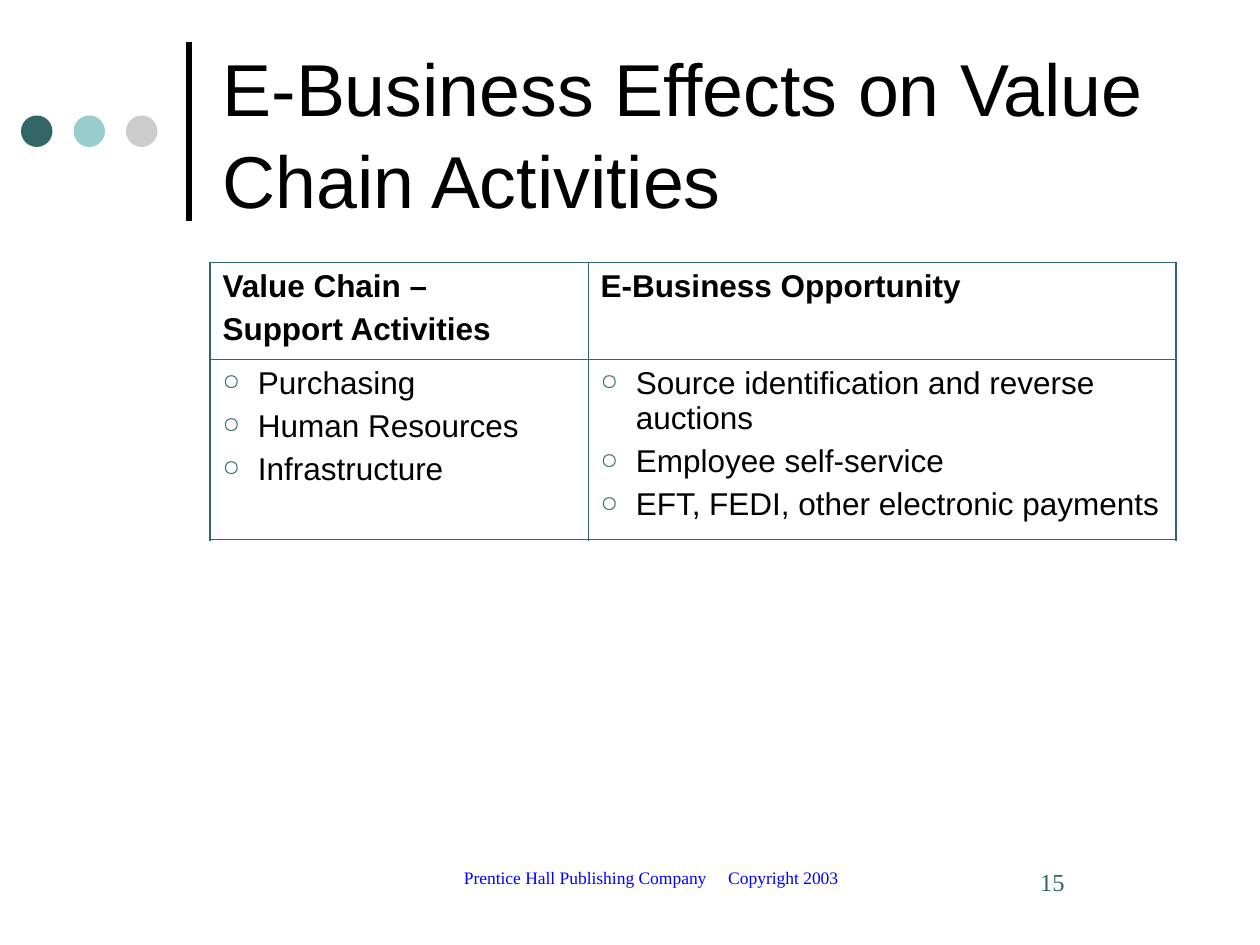
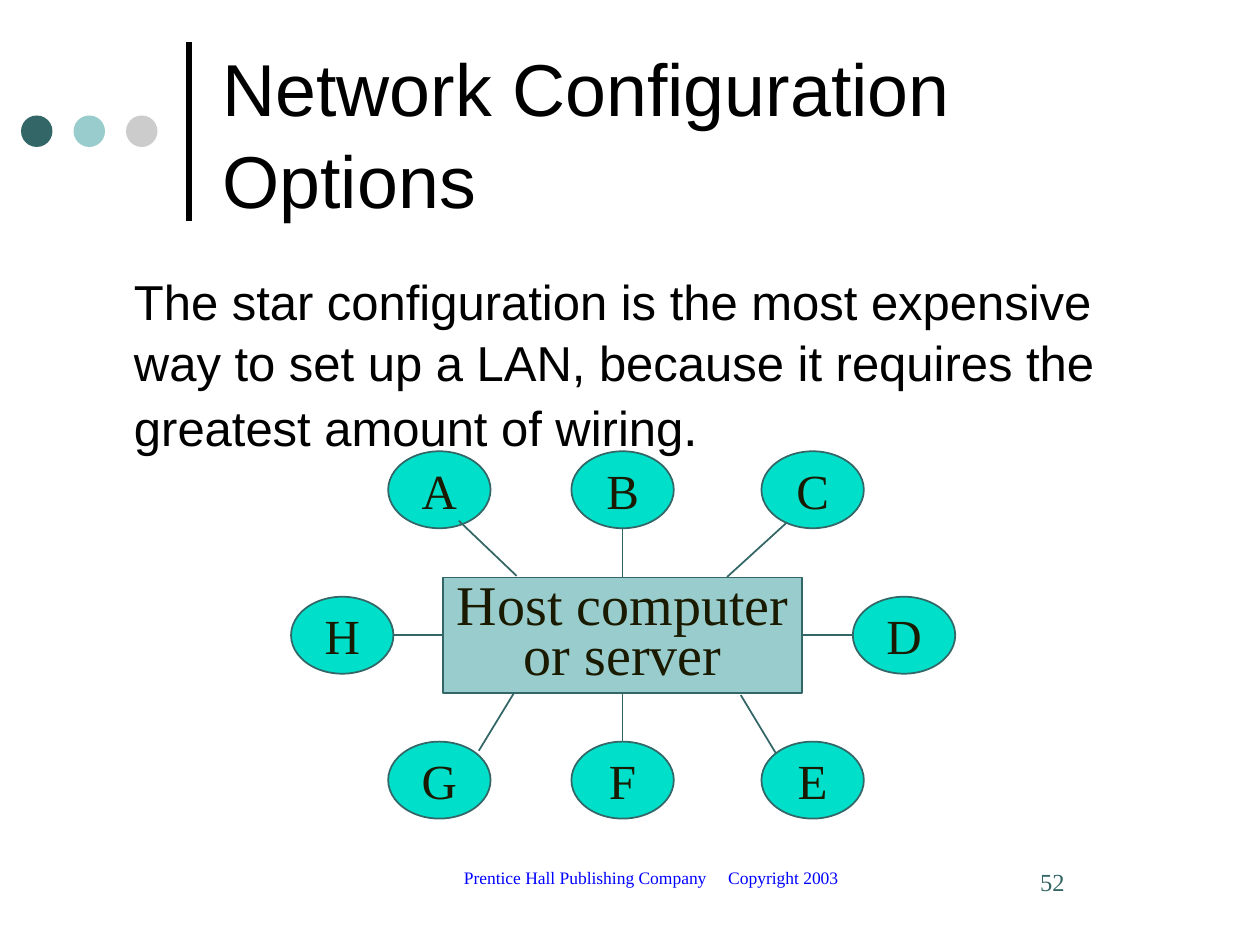
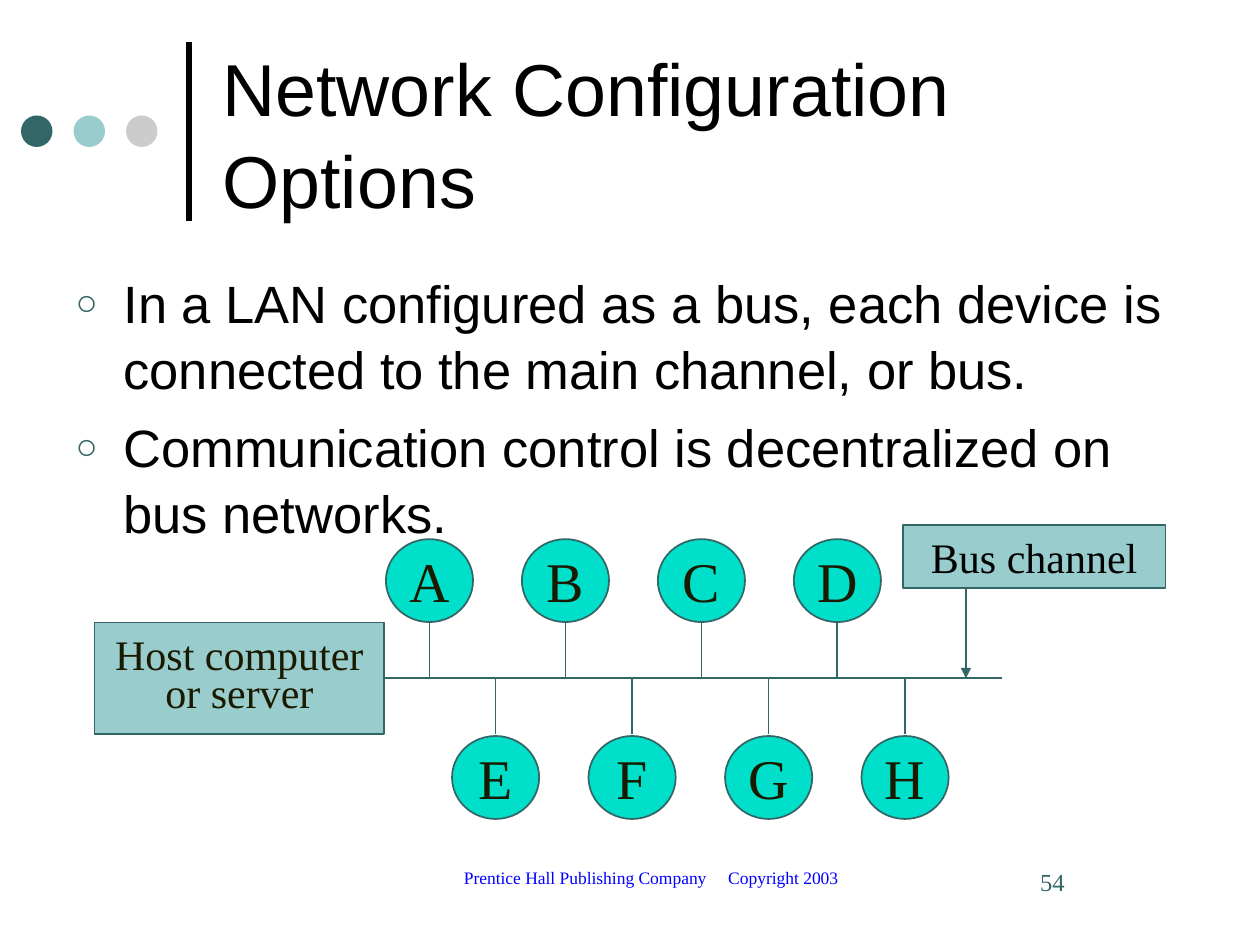
from lxml import etree
from pptx import Presentation
from pptx import util as u
from pptx.dml import color as colors
from pptx.enum import shapes, text
from pptx.oxml import ns

TEAL, PALE, GREY, AQUA = "336666", "99CCCC", "CCCCCC", "00DFCA"
BLACK, INK, BLUE = "000000", "1A1A00", "0000FF"
SANS, SERIF = "Arial", "Times New Roman"
LEFT, CENTER = text.PP_ALIGN.LEFT, text.PP_ALIGN.CENTER
TOP, MIDDLE = text.MSO_ANCHOR.TOP, text.MSO_ANCHOR.MIDDLE
RECTANGLE, OVAL = shapes.MSO_SHAPE.RECTANGLE, shapes.MSO_SHAPE.OVAL


def write(frame, words, size, font=SANS, color=BLACK, bold=False, align=LEFT, anchor=TOP,
          wrap=True, spacing=1.0, gap=0, margin=0, bullet=None):
    frame.auto_size = text.MSO_AUTO_SIZE.NONE
    frame.word_wrap = wrap
    frame.vertical_anchor = anchor
    for index, line in enumerate(words.split("\n")):
        para = frame.add_paragraph() if index else frame.paragraphs[0]
        para.alignment = align
        para.line_spacing = spacing
        para.space_before = u.Pt(gap if index else 0)
        layout = para._p.get_or_add_pPr()
        layout.set("marL", str(u.Inches(margin)))
        layout.set("indent", str(u.Inches(-margin if bullet else 0)))
        if bullet:
            tint = etree.SubElement(layout, ns.qn("a:buClr"))
            etree.SubElement(tint, ns.qn("a:srgbClr"), val=TEAL)
            etree.SubElement(layout, ns.qn("a:buSzPct"), val="70000")
            etree.SubElement(layout, ns.qn("a:buChar"), char=bullet)
        else:
            etree.SubElement(layout, ns.qn("a:buNone"))
        span = para.add_run()
        span.text = line
        span.font.name = font
        span.font.size = u.Pt(size)
        span.font.bold = bold
        span.font.color.rgb = colors.RGBColor.from_string(color)
    return para


def paint(item, fill=None, line=None, width=1):
    if fill:
        item.fill.solid()
        item.fill.fore_color.rgb = colors.RGBColor.from_string(fill)
    if line:
        item.line.color.rgb = colors.RGBColor.from_string(line)
        item.line.width = u.Pt(width)
    else:
        item.line.fill.background()
    etree.SubElement(item._element.spPr, ns.qn("a:effectLst"))


deck = Presentation()
deck.slide_width, deck.slide_height = u.Inches(10), u.Inches(7.5)
CELL = deck.slide_width / 120

outline = [
    (15, "E-Business Effects on Value Chain Activities", 5),
    (52, "Network Configuration Options", 1),
    (54, "Network Configuration Options", 1),
]
for number, title, layout in outline:
    page = deck.slides.add_slide(deck.slide_layouts[layout])
    rule = page.shapes.add_connector(
        shapes.MSO_CONNECTOR.STRAIGHT, *[int(n * CELL) for n in (18, 21, 18, 4)])
    paint(rule, line=BLACK, width=3)
    for index, shade in enumerate((TEAL, PALE, GREY)):
        dot = page.shapes.add_shape(
            OVAL, *[int(n * CELL) for n in (2 + 5 * index, 11, 3, 3)])
        paint(dot, fill=shade)
    heading = page.shapes.title
    heading.left, heading.top, heading.width, heading.height = [
        int(n * CELL) for n in (20, 2.5, 92, 20)]
    write(heading.text_frame, title, 42, anchor=MIDDLE, spacing=1.04)
    footer = page.shapes.add_textbox(*[int(n * CELL) for n in (38, 82, 48, 6)])
    write(footer.text_frame, "Prentice Hall Publishing Company     Copyright 2003", 10,
          font=SERIF, color=BLUE, align=CENTER)
    folio = page.shapes.add_textbox(*[int(n * CELL) for n in (95, 82, 17, 6)])
    write(folio.text_frame, str(number), 14, font=SERIF, color=TEAL, margin=0.24)

chain, star, bus = deck.slides

grid = chain.shapes.add_table(2, 2, *[int(n * CELL) for n in (20, 25, 92, 26.4)]).table
grid.first_row = grid.horz_banding = False
for index, width in enumerate((36, 56)):
    grid.columns[index].width = int(width * CELL)
for index, height in enumerate((9.24, 17.16)):
    grid.rows[index].height = int(height * CELL)
entries = [
    ["Value Chain –\nSupport Activities", "E-Business Opportunity"],
    ["Purchasing\nHuman Resources\nInfrastructure",
     "Source identification and reverse auctions\nEmployee self-service\n"
     "EFT, FEDI, other electronic payments"],
]
for row, line in enumerate(entries):
    for column, words in enumerate(line):
        cell = grid.cell(row, column)
        cell.fill.background()
        write(cell.text_frame, words, 18, bold=row == 0, gap=4.5,
              margin=0.28 if row else 0, bullet="○" if row else None)
        heavy = {"lnL": column == 0, "lnR": column == 1, "lnT": False, "lnB": row == 1}
        for index, (side, thick) in enumerate(heavy.items()):
            border = etree.Element(ns.qn("a:" + side), w=str(u.Pt(1.08 if thick else 0.45)))
            solid = etree.SubElement(border, ns.qn("a:solidFill"))
            etree.SubElement(solid, ns.qn("a:srgbClr"), val=TEAL)
            cell._tc.get_or_add_tcPr().insert(index, border)

body = star.placeholders[1]
body.left, body.top, body.width, body.height = [int(n * CELL) for n in (7, 25, 105, 25)]
para = write(body.text_frame,
             "The star configuration is the most expensive way to set up a LAN, "
             "because it requires the greatest amount of wiring",
             28, spacing=1.04, margin=0.38)
stop = para.add_run()
stop.text = "."
stop.font.name, stop.font.size = SANS, u.Pt(30)

body = bus.placeholders[1]
body.left, body.top, body.width, body.height = [int(n * CELL) for n in (6, 25, 106, 28)]
write(body.text_frame,
      "In a LAN configured as a bus, each device is connected to the main channel, or bus.\n"
      "Communication control is decentralized on bus networks.",
      30, spacing=1.04, gap=7.5, margin=0.38, bullet="○")

BUS_ROW = 64.6
boxes = [
    (star, "Host computer\nor server", 59.3, 60.5, 34.2, 11, 32, INK, 0.75),
    (bus, "Host computer\nor server", 22.8, BUS_ROW, 27.6, 10.6, 24, INK, 0.75),
    (bus, "Bus channel", 98.5, 53, 25, 6, 24, BLACK, 1.0),
]
hosts = {}
for page, label, x, y, width, height, size, ink, spacing in boxes:
    box = page.shapes.add_shape(
        RECTANGLE, *[int(n * CELL) for n in (x - width / 2, y - height / 2, width, height)])
    paint(box, fill=PALE, line=TEAL)
    write(box.text_frame, label, size, font=SERIF, color=ink, align=CENTER, anchor=MIDDLE,
          wrap=False, spacing=spacing)
    hosts.setdefault(page.slide_id, box)

devices = [(star, label, x, y, 9.75, 7.33, 28) for label, x, y in (
    ("A", 41.85, 46.65), ("B", 59.3, 46.65), ("C", 77.4, 46.65), ("D", 86.1, 60.5),
    ("E", 77.4, 74.3), ("F", 59.3, 74.3), ("G", 41.85, 74.3), ("H", 32.6, 60.5))]
wires = [
    (star, 43.7, 49.6, 49.2, 54.85, None),
    (star, 59.3, 50.25, 59.3, 55, 0),
    (star, 74.9, 49.8, 69.25, 54.95, None),
    (star, 81.2, 60.5, 76.4, 60.5, 3),
    (star, 73.9, 71.75, 70.55, 66.2, None),
    (star, 59.3, 70.6, 59.3, 66, 2),
    (star, 45.6, 71.5, 48.95, 66, None),
    (star, 37.45, 60.5, 42.2, 60.5, 1),
    (bus, 95.4, BUS_ROW, 36.6, BUS_ROW, 3),
]
for index in range(4):
    upper, lower = 40.9 + 12.95 * index, 47.2 + 13 * index
    devices.append((bus, "ABCD"[index], upper, 55.3, 8.3, 7.9, 32))
    devices.append((bus, "EFGH"[index], lower, 74.05, 8.3, 7.9, 32))
    wires.append((bus, upper, 59.25, upper, BUS_ROW, None))
    wires.append((bus, lower, BUS_ROW, lower, 69.9, None))
wires.append((bus, 92, 56, 92, BUS_ROW, None))

for page, label, x, y, width, height, size in devices:
    device = page.shapes.add_shape(
        OVAL, *[int(n * CELL) for n in (x - width / 2, y - height / 2, width, height)])
    paint(device, fill=AQUA, line=TEAL)
    write(device.text_frame, label, size, font=SERIF, color=INK, align=CENTER,
          anchor=MIDDLE, wrap=False)

for page, *ends, side in wires:
    wire = page.shapes.add_connector(
        shapes.MSO_CONNECTOR.STRAIGHT, *[int(n * CELL) for n in ends])
    paint(wire, line=TEAL)
    if side is not None:
        wire.end_connect(hosts[page.slide_id], side)
etree.SubElement(wire.line._get_or_add_ln(), ns.qn("a:tailEnd"), type="triangle")

deck.save("out.pptx")
